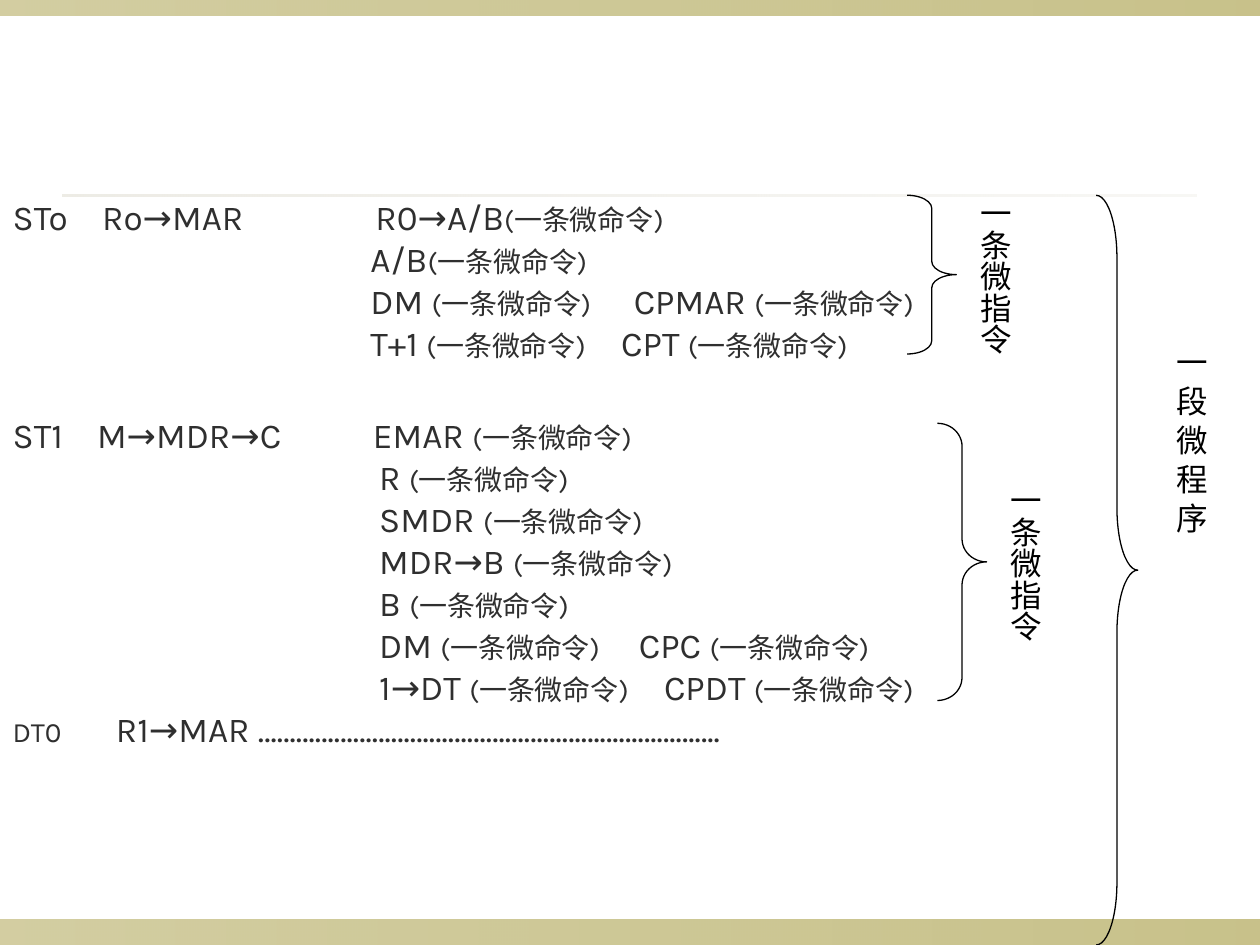
from dataclasses import dataclass

from lxml import etree
from pptx import Presentation
from pptx.dml.color import RGBColor
from pptx.enum import shapes, text
from pptx.oxml.ns import qn
from pptx.util import Inches, Pt


@dataclass(frozen=True)
class Theme:
    band: RGBColor = RGBColor(0x91, 0x84, 0x15)
    rule: RGBColor = RGBColor(0xDC, 0xD9, 0xCC)
    body: RGBColor = RGBColor(0x2F, 0x2F, 0x2F)
    ink: RGBColor = RGBColor(0, 0, 0)
    body_font: str = "Karla"
    label_font: str = "Arial"
    body_size: int = 20
    note_size: int = 16
    label_size: int = 18


THEME = Theme()
MARGIN = 0.1
NOTE = "(一条微命令)"

# Each row: label, (place, register transfer), [(place, micro-command), ...]
STEPS = [
    [
        ("STo", (0.81, "Ro→MAR"), [(2.98, "R0→A/B")]),
        ("", None, [(2.94, "A/B")]),
        ("", None, [(2.94, "DM "), (5.03, "CPMAR ")]),
        ("", None, [(2.94, "T+1 "), (4.93, "CPT ")]),
    ],
    [
        ("ST1", (0.77, "M→MDR→C"), [(2.96, "EMAR ")]),
        ("", None, [(3.01, "R ")]),
        ("", None, [(3.01, "SMDR ")]),
        ("", None, [(3.01, "MDR→B ")]),
        ("", None, [(3.01, "B ")]),
        ("", None, [(3.01, "DM "), (5.07, "CPC ")]),
        ("", None, [(3.01, "1→DT "), (5.27, "CPDT ")]),
        ("DT0", (0.92, "R1→MAR ………………………………………………………………."), []),
    ],
]


def add_fading_bar(page, left, top, width, height, color, opacities):
    bar = page.shapes.add_shape(shapes.MSO_SHAPE.RECTANGLE, Inches(left),
                                Inches(top), Inches(width), Inches(height))
    bar.shadow.inherit = False
    bar.line.fill.background()
    bar.fill.gradient()
    bar.fill.gradient_angle = 0
    for stop in bar.fill.gradient_stops:
        stop.color.rgb = color
    for tint, opacity in zip(bar._element.spPr.iter(qn("a:srgbClr")), opacities):
        etree.SubElement(tint, qn("a:alpha"), val=str(opacity * 1000))


def set_tabs(para, places):
    tabs = etree.SubElement(para._p.get_or_add_pPr(), qn("a:tabLst"))
    for place in places:
        etree.SubElement(tabs, qn("a:tab"), pos=str(Inches(place - MARGIN)), algn="l")


def add_span(para, words, size=None):
    span = para.add_run()
    span.text = words
    if size:
        span.font.size = Pt(size)


def write_row(para, label, transfer, commands):
    cells = ([transfer] if transfer else []) + commands
    set_tabs(para, [place for place, _ in cells])
    para.alignment = text.PP_ALIGN.LEFT
    para.font.name = THEME.body_font
    para.font.size = Pt(THEME.body_size)
    para.font.color.rgb = THEME.body
    if label:
        add_span(para, label, None if commands else THEME.note_size)
    if transfer:
        add_span(para, "\t" + transfer[1])
    for _, command in commands:
        add_span(para, "\t" + command)
        add_span(para, NOTE, THEME.note_size)


def write_steps(page):
    title = page.shapes.title
    title.left, title.top = Inches(0), Inches(0.3)
    title.width, title.height = Inches(10), Inches(7.2)
    frame = title.text_frame
    frame.auto_size = text.MSO_AUTO_SIZE.NONE
    frame.word_wrap = True
    frame.vertical_anchor = text.MSO_ANCHOR.MIDDLE
    frame.margin_left = frame.margin_right = Inches(MARGIN)
    frame.margin_top, frame.margin_bottom = Inches(0.05), Inches(0.35)
    para = frame.paragraphs[0]
    for step_index, step in enumerate(STEPS):
        for row_index, row in enumerate(step):
            if step_index or row_index:
                para = frame.add_paragraph()
            write_row(para, *row)
            if step_index and not row_index:
                para.space_before = Pt(28.5)
    # Keep the text in front of the bars
    page.shapes._spTree.append(title._element)


def add_brace(page, left, top, width, height):
    brace = page.shapes.add_shape(shapes.MSO_SHAPE.RIGHT_BRACE, Inches(left),
                                  Inches(top), Inches(width), Inches(height))
    brace.shadow.inherit = False
    brace.fill.background()
    brace.line.color.rgb = THEME.ink
    brace.line.width = Pt(0.75)
    # Each curl takes a twelfth of the height
    brace.adjustments[0] = height / 12 / width


def add_vertical_label(page, left, top, words):
    box = page.shapes.add_textbox(Inches(left), Inches(top), Inches(0.5), Inches(1.89))
    frame = box.text_frame
    frame.word_wrap = True
    frame.margin_left = frame.margin_right = Inches(0.05)
    frame.margin_top = frame.margin_bottom = Inches(0.1)
    frame._txBody.bodyPr.set("vert", "eaVert")
    para = frame.paragraphs[0]
    para.text = words
    para.alignment = text.PP_ALIGN.CENTER
    para.font.name = THEME.label_font
    para.font.size = Pt(THEME.label_size)
    para.font.color.rgb = THEME.ink


def main():
    deck = Presentation()
    deck.slide_width, deck.slide_height = Inches(10), Inches(7.5)
    page = deck.slides.add_slide(deck.slide_layouts[5])

    # Edge bands and the rule above the text
    add_fading_bar(page, 0, 7.3, 10, 0.2, THEME.band, (40, 50))
    add_fading_bar(page, 0, 0, 10, 0.12, THEME.band, (40, 50))
    add_fading_bar(page, 0.5, 1.54, 9, 0.02, THEME.rule, (50, 20))

    # Micro-operations listing
    write_steps(page)

    # Braces with their vertical labels
    add_brace(page, 7.2, 1.55, 0.39, 1.26)
    add_vertical_label(page, 7.6, 1.47, "一条微指令")
    add_brace(page, 8.7, 1.55, 0.33, 5.95)
    add_vertical_label(page, 9.15, 2.65, "一 段 微 程 序")
    add_brace(page, 7.44, 3.36, 0.39, 2.2)
    add_vertical_label(page, 7.84, 3.75, "一条微指令")

    deck.save("out.pptx")


if __name__ == "__main__":
    main()
